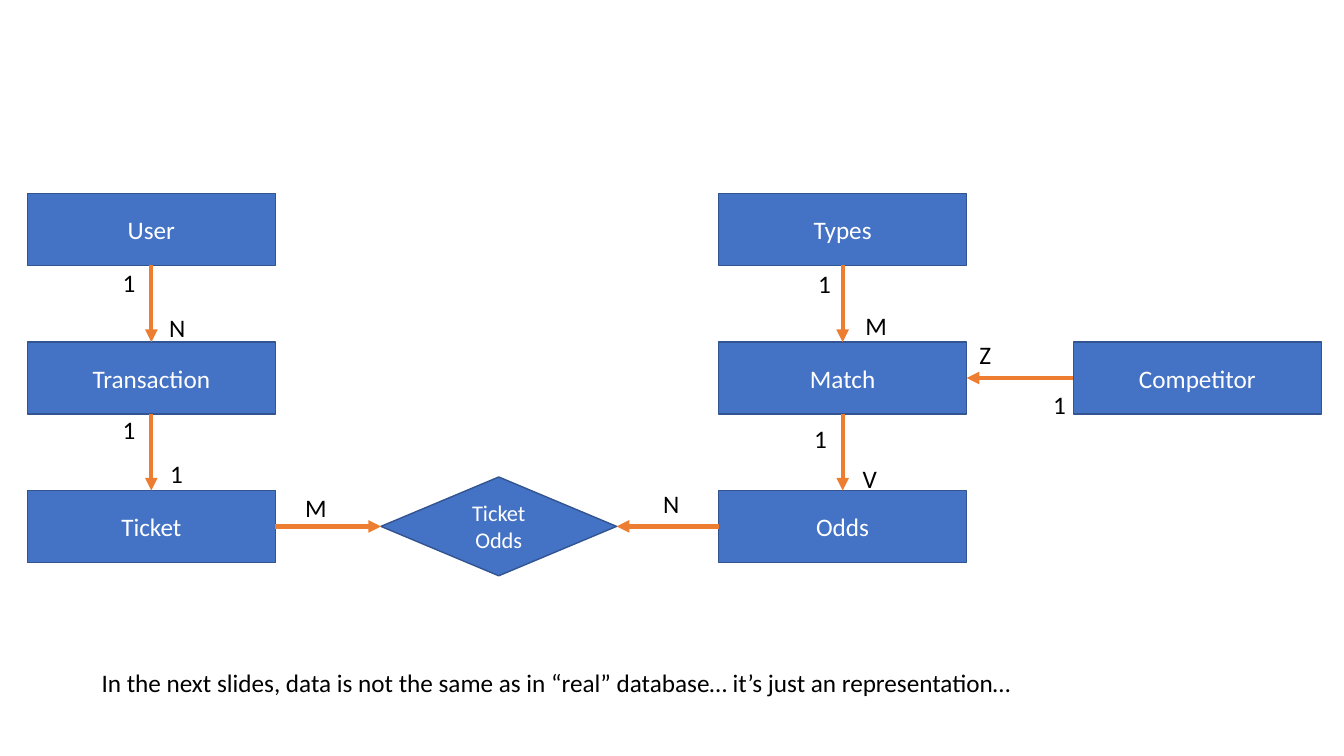
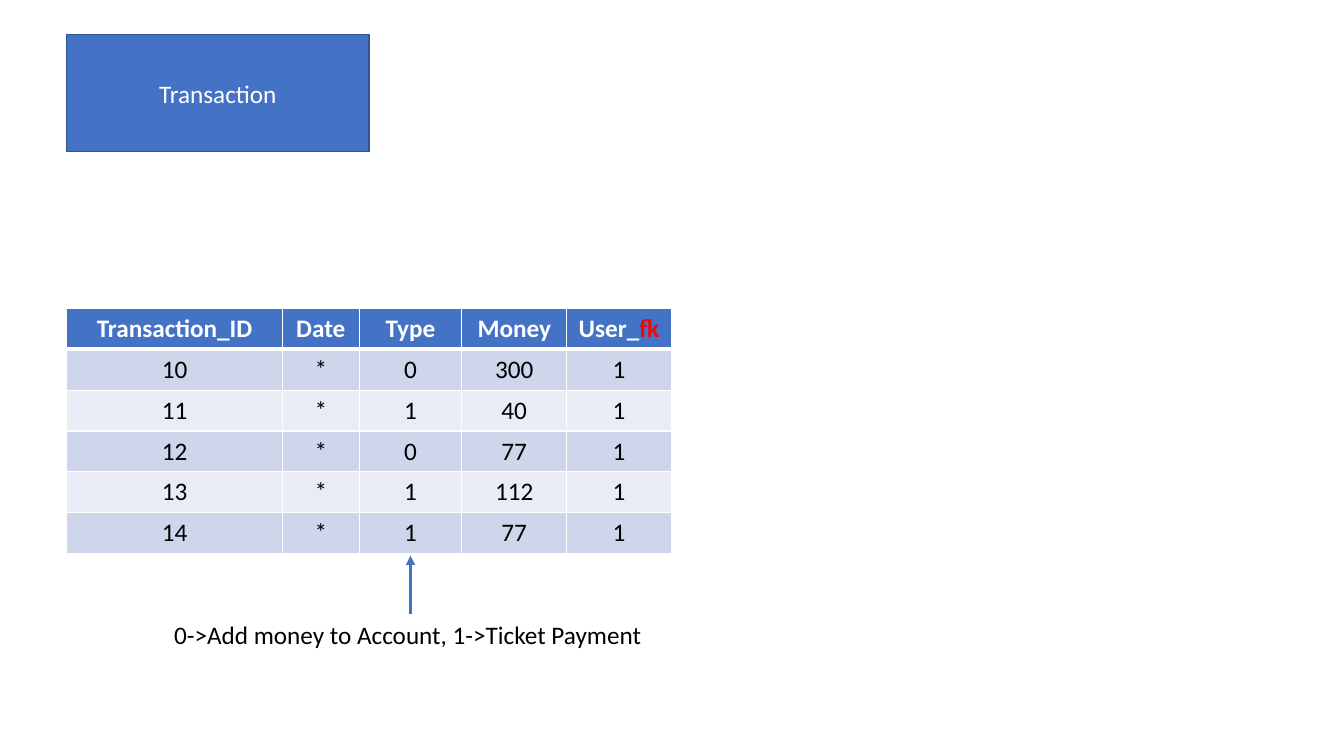
from lxml.etree import SubElement
from pptx import Presentation
from pptx.dml.color import RGBColor
from pptx.enum.shapes import MSO_CONNECTOR, MSO_SHAPE as Shape
from pptx.enum.text import MSO_ANCHOR as Anchor, PP_ALIGN as Align
from pptx.oxml.ns import qn
from pptx.util import Cm, Pt

BLUE = RGBColor(0x44, 0x72, 0xC4)
DARK_BLUE = RGBColor(0x32, 0x54, 0x91)
ORANGE = RGBColor(0xED, 0x7D, 0x31)
RED = RGBColor(0xFF, 0x00, 0x00)
BLACK = RGBColor(0x00, 0x00, 0x00)
WHITE = RGBColor(0xFF, 0xFF, 0xFF)
BANDS = (RGBColor(0xCF, 0xD5, 0xEA), RGBColor(0xE9, 0xEB, 0xF5))

TEXT = {"name": "Calibri", "size": Pt(18)}
LABEL_HEIGHT = 1.03

# Entity diagram: name -> (column, row)
ENTITIES = {
    "User": (0, 0), "Transaction": (0, 1), "Ticket": (0, 2),
    "Types": (1, 0), "Match": (1, 1), "Odds": (1, 2), "Competitor": (2, 1),
}
COLUMN_LEFTS = (0.69, 18.11, 27.05)
FIRST_TOP, ROW_STEP = 4.88, 3.74
BOX_WIDTH, BOX_HEIGHT = 6.25, 1.81
JOIN_NAME = "Ticket Odds"
JOIN_LEFT, JOIN_WIDTH, JOIN_HEIGHT = 9.6, 5.94, 2.49

# Connection sites of a box
TOP, LEFT, BOTTOM, RIGHT = range(4)
RELATIONS = [
    ("User", BOTTOM, "Transaction", TOP),
    ("Transaction", BOTTOM, "Ticket", TOP),
    ("Types", BOTTOM, "Match", TOP),
    ("Match", BOTTOM, "Odds", TOP),
    ("Competitor", LEFT, "Match", RIGHT),
    ("Ticket", RIGHT, JOIN_NAME, LEFT),
    ("Odds", LEFT, JOIN_NAME, RIGHT),
]
# Cardinalities: text, left, top
CARDINALITIES = [
    ("1", 2.84, 6.6), ("N", 4.01, 7.75), ("1", 2.84, 10.31), ("1", 4.04, 11.43),
    ("1", 20.37, 6.63), ("M", 21.56, 7.7), ("1", 20.27, 10.54), ("V", 21.49, 11.56),
    ("Z", 24.43, 8.43), ("1", 26.29, 9.68), ("M", 7.44, 12.29), ("N", 16.46, 12.17),
]
CARDINALITY_WIDTHS = {"1": 0.69, "Z": 0.69, "N": 0.76, "V": 0.76, "M": 0.86}
NOTE = ("In the next slides, data is not the same as in “real” database… "
        "it’s just an representation…")

# Transaction table
HEADINGS = [["Transaction_ID"], ["Date"], ["Type"], ["Money"], ["User_", "fk"]]
RECORDS = [
    ("10", "*", "0", "300", "1"),
    ("11", "*", "1", "40", "1"),
    ("12", "*", "0", "77", "1"),
    ("13", "*", "1", "112", "1"),
    ("14", "*", "1", "77", "1"),
]
TABLE_LEFT, TABLE_TOP, ROW_HEIGHT = 1.68, 7.77, 1.03
COLUMN_WIDTHS = (5.44, 1.93, 2.59, 2.64, 2.64)
TYPE_COLUMN = 2
CAPTION = "0->Add money to Account, 1->Ticket Payment"
CAPTION_TOP = 15.47


def add_span(para, text, **formats):
    """Add a run in the shared text style, with changes from formats."""
    span = para.add_run()
    span.text = text
    color = formats.pop("color", BLACK)
    for name, value in {**TEXT, **formats}.items():
        setattr(span.font, name, value)
    span.font.color.rgb = color


def add_label(page, text, left, top, width, wrap=True):
    """Add a plain text box."""
    box = page.shapes.add_textbox(Cm(left), Cm(top), Cm(width), Cm(LABEL_HEIGHT))
    box.text_frame.word_wrap = wrap
    add_span(box.text_frame.paragraphs[0], text)


def add_entity(page, text, left, top, width, height, kind=Shape.RECTANGLE, size=18):
    """Add a blue shape with centred white text."""
    box = page.shapes.add_shape(kind, Cm(left), Cm(top), Cm(width), Cm(height))
    box.shadow.inherit = False
    box.fill.solid()
    box.fill.fore_color.rgb = BLUE
    box.line.color.rgb = DARK_BLUE
    box.line.width = Pt(1)
    frame = box.text_frame
    frame.word_wrap = True
    frame.vertical_anchor = Anchor.MIDDLE
    para = frame.paragraphs[0]
    para.alignment = Align.CENTER
    add_span(para, text, size=Pt(size), color=WHITE)
    return box


def add_arrow(page, color, weight, start=(0, 0), end=(0, 0)):
    """Add a straight line with an arrowhead at its end."""
    arrow = page.shapes.add_connector(
        MSO_CONNECTOR.STRAIGHT, *(Cm(value) for value in (*start, *end)))
    arrow.line.color.rgb = color
    arrow.line.width = Pt(weight)
    SubElement(arrow.line._get_or_add_ln(), qn("a:tailEnd"), type="triangle")
    SubElement(arrow._element.spPr, qn("a:effectLst"))
    return arrow


def set_borders(cell, **weights):
    """Draw white cell borders, 1 pt unless a side has its own weight."""
    properties = cell._tc.get_or_add_tcPr()
    for side in "LRTB":
        line = SubElement(properties, qn(f"a:ln{side}"), w=str(Pt(weights.get(side, 1))))
        fill = SubElement(line, qn("a:solidFill"))
        SubElement(fill, qn("a:srgbClr"), val=str(WHITE))


def fill_cell(cell, color, **weights):
    """Set borders and fill of a cell and return its centred paragraph."""
    set_borders(cell, **weights)
    cell.fill.solid()
    cell.fill.fore_color.rgb = color
    para = cell.text_frame.paragraphs[0]
    para.alignment = Align.CENTER
    return para


def build_diagram(page):
    """Lay out the entities, their relations and the note."""
    boxes = {}
    for name, (column, row) in ENTITIES.items():
        boxes[name] = add_entity(page, name, COLUMN_LEFTS[column],
                                 FIRST_TOP + row * ROW_STEP, BOX_WIDTH, BOX_HEIGHT)
    join_top = FIRST_TOP + 2 * ROW_STEP + (BOX_HEIGHT - JOIN_HEIGHT) / 2
    boxes[JOIN_NAME] = add_entity(page, JOIN_NAME, JOIN_LEFT, join_top, JOIN_WIDTH,
                                  JOIN_HEIGHT, Shape.FLOWCHART_DECISION, 16)
    for source, source_site, target, target_site in RELATIONS:
        arrow = add_arrow(page, ORANGE, 3)
        arrow.begin_connect(boxes[source], source_site)
        arrow.end_connect(boxes[target], target_site)
    for text, left, top in CARDINALITIES:
        add_label(page, text, left, top, CARDINALITY_WIDTHS[text])
    add_label(page, NOTE, 2.31, 16.69, 23.6, wrap=False)


def build_transactions(page):
    """Show the transaction table and explain its type column."""
    add_entity(page, "Transaction", TABLE_LEFT, 0.87, 7.62, 2.95)
    row_count = len(RECORDS) + 1
    table_height = row_count * ROW_HEIGHT
    table = page.shapes.add_table(
        row_count, len(HEADINGS), Cm(TABLE_LEFT), Cm(TABLE_TOP),
        Cm(sum(COLUMN_WIDTHS)), Cm(table_height)).table
    for column, width in zip(table.columns, COLUMN_WIDTHS):
        column.width = Cm(width)
    for row in table.rows:
        row.height = Cm(ROW_HEIGHT)
    for column, parts in enumerate(HEADINGS):
        para = fill_cell(table.cell(0, column), BLUE, B=3)
        for text, color in zip(parts, (WHITE, RED)):
            add_span(para, text, bold=True, color=color)
    for row, record in enumerate(RECORDS, start=1):
        for column, text in enumerate(record):
            top_weight = 3 if row == 1 else 1
            para = fill_cell(table.cell(row, column), BANDS[(row - 1) % 2], T=top_weight)
            add_span(para, text)
    add_label(page, CAPTION, 4.14, CAPTION_TOP, 12.88)
    type_center = (TABLE_LEFT + sum(COLUMN_WIDTHS[:TYPE_COLUMN])
                   + COLUMN_WIDTHS[TYPE_COLUMN] / 2)
    add_arrow(page, BLUE, 2.25, (type_center, CAPTION_TOP),
              (type_center, TABLE_TOP + table_height + 0.05))


deck = Presentation()
deck.slide_width, deck.slide_height = Cm(33.87), Cm(19.05)
for build in (build_diagram, build_transactions):
    build(deck.slides.add_slide(deck.slide_layouts[6]))
deck.save("out.pptx")
